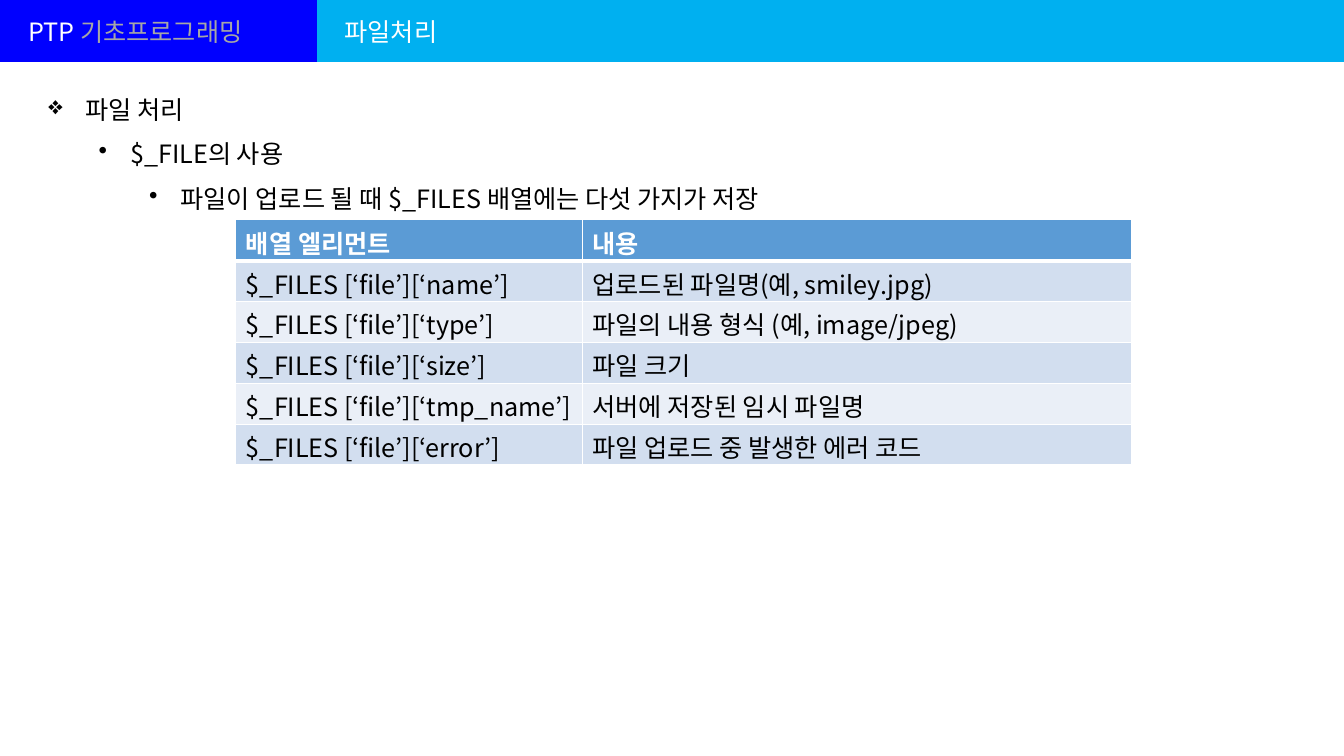
from dataclasses import dataclass
from lxml.etree import SubElement
from pptx import Presentation
from pptx.dml.color import RGBColor
from pptx.enum.shapes import MSO_CONNECTOR
from pptx.enum.text import MSO_ANCHOR
from pptx.oxml.ns import qn
from pptx.slide import Slide
from pptx.util import Pt

WHITE = RGBColor(0xFF, 0xFF, 0xFF)
BLACK = RGBColor(0, 0, 0)
GRAY = RGBColor(0xA6, 0xA6, 0xA6)
BLUE = RGBColor(0, 0, 0xFF)
CYAN = RGBColor(0, 0xB0, 0xF0)
HEAD = RGBColor(0x5B, 0x9B, 0xD5)
BANDS = RGBColor(0xD2, 0xDE, 0xEF), RGBColor(0xEA, 0xEF, 0xF7)


@dataclass
class Page:
    slide: Slide
    font: str = "Noto Sans CJK KR"
    size: float = 18

    def style(self, run, color, bold=False):
        run.font.name = self.font
        run.font.size = Pt(self.size)
        run.font.bold = bold
        run.font.color.rgb = color
        SubElement(run._r.get_or_add_rPr(), qn("a:ea"), typeface=self.font)

    def bar(self, left, right, y, color, width):
        line = self.slide.shapes.add_connector(
            MSO_CONNECTOR.STRAIGHT, Pt(left), Pt(y), Pt(right), Pt(y))
        line.line.color.rgb = color
        line.line.width = Pt(width)
        SubElement(line._element.spPr, qn("a:effectLst"))

    def title(self, left, width, parts):
        box = self.slide.shapes.add_textbox(Pt(left), Pt(7.9), Pt(width), Pt(29))
        frame = box.text_frame
        frame.word_wrap = False
        frame.vertical_anchor = MSO_ANCHOR.MIDDLE
        for text, color in parts:
            run = frame.paragraphs[0].add_run()
            run.text = text
            self.style(run, color)

    def outline(self, left, top, width, height, items):
        box = self.slide.shapes.add_textbox(Pt(left), Pt(top), Pt(width), Pt(height))
        frame = box.text_frame
        frame.word_wrap = True
        frame.margin_top = Pt(5.4)
        frame.text = "\n".join(text for mark, text in items)
        for level, (para, (mark, text)) in enumerate(zip(frame.paragraphs, items)):
            para.level = level
            para.line_spacing = Pt(32.1)
            props = para._p.get_or_add_pPr()
            props.set("marL", str(Pt(22.5 + 36 * level)))
            props.set("indent", str(Pt(-22.5)))
            SubElement(props, qn("a:buChar"), char=mark)
            self.style(para.runs[0], BLACK)

    def border(self, cell, low):
        props = cell._tc.get_or_add_tcPr()
        for side, width in ("L", 1), ("R", 1), ("T", 1), ("B", low):
            line = SubElement(props, qn("a:ln" + side), w=str(Pt(width)))
            fill = SubElement(line, qn("a:solidFill"))
            SubElement(fill, qn("a:srgbClr"), val=str(WHITE))

    def table(self, left, top, widths, high, rows):
        table = self.slide.shapes.add_table(
            len(rows), len(widths), Pt(left), Pt(top),
            Pt(sum(widths)), Pt(high * len(rows))).table
        for col, width in zip(table.columns, widths):
            col.width = Pt(width)
        for i, texts in enumerate(rows):
            table.rows[i].height = Pt(high)
            first = i == 0
            for j, text in enumerate(texts):
                cell = table.cell(i, j)
                cell.margin_top, cell.margin_bottom = Pt(3), Pt(0)
                # The header has a thicker rule below it
                self.border(cell, 3 if first else 1)
                if i == 1:
                    top_line = cell._tc.tcPr.find(qn("a:lnT"))
                    top_line.set("w", str(Pt(3)))
                cell.fill.solid()
                cell.fill.fore_color.rgb = HEAD if first else BANDS[(i - 1) % 2]
                cell.text_frame.text = text
                self.style(cell.text_frame.paragraphs[0].runs[0],
                           WHITE if first else BLACK, first)


def main():
    deck = Presentation()
    deck.slide_width, deck.slide_height = Pt(960), Pt(540)
    page = Page(deck.slides.add_slide(deck.slide_layouts[6]))

    # Top band
    page.bar(224, 960, 21.6, CYAN, 45)
    page.bar(0, 226.6, 21.6, BLUE, 45)
    page.title(13, 178.5, [("PTP ", WHITE), ("기초프로그래밍", GRAY)])
    page.title(239, 87, [("파일처리", WHITE)])

    # Outline
    page.outline(27.4, 51.1, 922.3, 301.7, [
        ("❖", " 파일 처리"),
        ("•", "$_FILE의 사용"),
        ("•", "파일이 업로드 될 때 $_FILES 배열에는 다섯 가지가 저장"),
    ])

    # Array elements
    fields = [
        ("name", "업로드된 파일명(예, smiley.jpg)"),
        ("type", "파일의 내용 형식 (예, image/jpeg)"),
        ("size", "파일 크기"),
        ("tmp_name", "서버에 저장된 임시 파일명"),
        ("error", "파일 업로드 중 발생한 에러 코드"),
    ]
    rows = [("배열 엘리먼트", "내용")]
    rows += [(f"$_FILES [‘file’][‘{key}’]", note) for key, note in fields]
    page.table(168.5, 157, (247.5, 392.4), 29.2, rows)

    deck.save("out.pptx")


if __name__ == "__main__":
    main()
